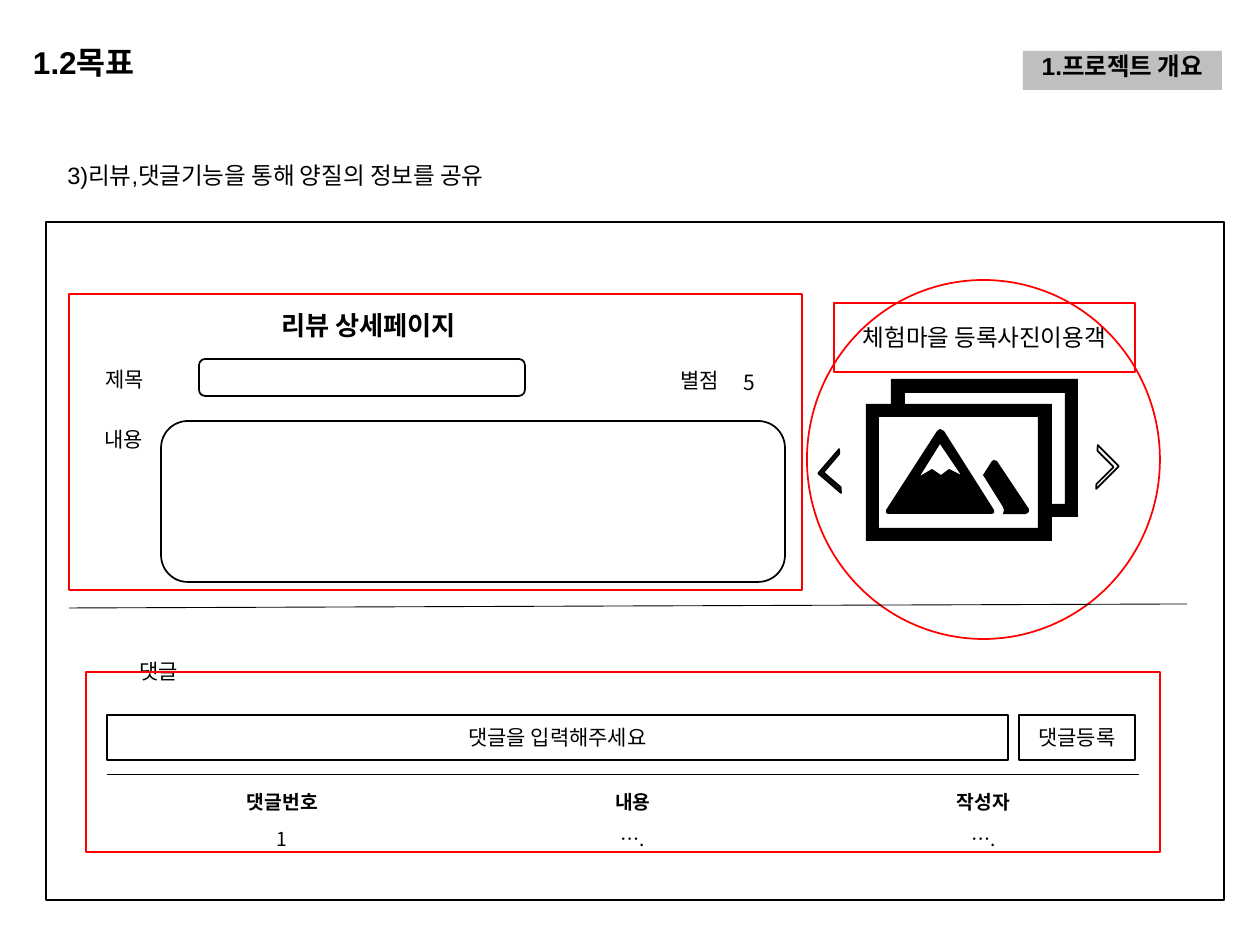
"""Build the review page wireframe slide."""
from lxml.etree import SubElement
from pptx import Presentation
from pptx.dml.color import RGBColor
from pptx.enum.shapes import MSO_CONNECTOR, MSO_SHAPE
from pptx.enum.text import MSO_ANCHOR, PP_ALIGN
from pptx.oxml.ns import qn
from pptx.util import Emu, Pt

SCALE = 914400 / 126
COLORS = {"black": "000000", "chevron": "0D0D0D", "white": "FFFFFF",
          "red": "FF0000", "gray": "BFBFBF"}
KOREAN = "Noto Sans CJK KR"
HILL = [[(1029, 509), (997, 461), (994, 460), (992, 461), (983, 475), (1003, 507),
         (1004, 510), (1003, 514), (1026, 514), (1029, 512)]]
MOUNTAIN = [[(994, 510), (944, 431), (940, 429), (937, 431), (886, 510), (886, 513),
             (888, 514), (992, 514), (994, 513)],
            [(949, 469), (941, 475), (932, 469), (920, 476), (940, 444), (961, 475)]]
FRAMES = [[(1078, 379), (891, 379), (891, 404), (866, 404), (866, 541), (1052, 541),
           (1052, 517), (1078, 517)],
          [(1038, 528), (879, 528), (879, 417), (1038, 417)],
          [(1065, 504), (1052, 504), (1052, 404), (905, 404), (905, 393), (1065, 393)]]


def px(value):
    return Emu(round(value * SCALE))


def color(name):
    return RGBColor.from_string(COLORS[name])


def paint(shape, fill=None, line=None):
    shape.shadow.inherit = False
    if fill:
        shape.fill.solid()
        shape.fill.fore_color.rgb = color(fill)
    else:
        shape.fill.background()
    if line:
        shape.line.color.rgb = color(line)
        shape.line.width = Pt(1)
    else:
        shape.line.fill.background()


def write(text_frame, text, size=12, bold=False, font=KOREAN, align=PP_ALIGN.CENTER,
          anchor=MSO_ANCHOR.MIDDLE, insets=None):
    text_frame.text = text
    text_frame.word_wrap = True
    text_frame.vertical_anchor = anchor
    if insets:
        horizontal, vertical = map(px, insets)
        text_frame.margin_left = text_frame.margin_right = horizontal
        text_frame.margin_top = text_frame.margin_bottom = vertical
    paragraph = text_frame.paragraphs[0]
    paragraph.alignment = align
    run = paragraph.runs[0]
    run.font.size, run.font.bold, run.font.name = Pt(size), bold, font
    run.font.color.rgb = color("black")
    SubElement(run.font._element, qn("a:ea")).set("typeface", KOREAN)
    return paragraph


def add_box(shapes, box, fill=None, line="black", kind=MSO_SHAPE.RECTANGLE):
    shape = shapes.add_shape(kind, *map(px, box))
    paint(shape, fill, line)
    return shape


def add_label(shapes, box, text, **style):
    return write(shapes.add_textbox(*map(px, box)).text_frame, text, **style)


def add_rule(shapes, *ends):
    rule = shapes.add_connector(MSO_CONNECTOR.STRAIGHT, *map(px, ends))
    rule.line.color.rgb = color("black")
    rule.line.width = Pt(0.5)
    SubElement(rule._element.spPr, qn("a:effectLst"))


def add_chevron(shapes, box, rotation, fill):
    chevron = add_box(shapes, box, fill, kind=MSO_SHAPE.HALF_FRAME)
    chevron.rotation = rotation
    chevron.adjustments[0], chevron.adjustments[1] = 0.11, 0.14


def add_outline(shapes, contours):
    builder = shapes.build_freeform(*contours[0][0], scale=SCALE)
    builder.add_line_segments(contours[0][1:])
    for contour in contours[1:]:
        builder.move_to(*contour[0])
        builder.add_line_segments(contour[1:])
    paint(builder.convert_to_shape(), "black")


def add_comment_table(shapes, box, rows):
    table = shapes.add_table(len(rows), len(rows[0]), *map(px, box)).table
    table.first_row = table.horz_banding = False
    for row_index, row in enumerate(rows):
        for column_index, text in enumerate(row):
            cell = table.cell(row_index, column_index)
            cell.fill.background()
            cell.margin_left = cell.margin_right = px(9)
            cell.margin_top = cell.margin_bottom = px(5)
            write(cell.text_frame, text, size=11, bold=row_index == 0,
                  anchor=MSO_ANCHOR.TOP)


def add_review_form(shapes):
    add_label(shapes, (107, 294, 523, 62), "리뷰 상세페이지", size=15, bold=True)
    add_label(shapes, (83, 354, 83, 50), "제목")
    add_label(shapes, (82, 414, 83, 50), "내용")
    add_label(shapes, (653, 355, 93, 50), "별점")
    for box in ((199, 359, 326, 37), (161, 421, 624, 161)):
        add_box(shapes, box, "white", kind=MSO_SHAPE.ROUNDED_RECTANGLE)
    add_label(shapes, (727, 368, 45, 28), "5")


def add_comments(shapes):
    add_label(shapes, (107, 643, 103, 57), "댓글")
    for left, width, text in ((107, 901, "댓글을 입력해주세요"), (1019, 116, "댓글등록")):
        field = add_box(shapes, (left, 715, width, 45), "white")
        write(field.text_frame, text)
    add_rule(shapes, 69, 608, 1187, 604)
    add_rule(shapes, 107, 774, 1139, 774)
    add_comment_table(shapes, (107, 782, 1052, 74),
                      [("댓글번호", "내용", "작성자"), ("1", "….", "….")])


def add_header(shapes):
    title = add_label(shapes, (33, 15, 311, 86), "1.2목표", size=18, bold=True,
                      font="Arial", align=PP_ALIGN.JUSTIFY, insets=(0, 0))
    title.line_spacing = 1.2
    badge = add_box(shapes, (1023, 51, 199, 39), "gray", None)
    section = write(badge.text_frame, "1.프로젝트 개요", size=14, bold=True, font="Arial",
                    anchor=MSO_ANCHOR.TOP, insets=(0, 6))
    section.line_spacing = 0.8
    section.space_before = Pt(7.5)


def main():
    presentation = Presentation()
    presentation.slide_width, presentation.slide_height = px(1260), px(945)
    slide = presentation.slides.add_slide(presentation.slide_layouts[6])
    shapes = slide.shapes

    add_box(shapes, (69, 294, 733, 296), line="red")
    photo = shapes.add_group_shape().shapes
    caption = add_box(photo, (834, 303, 301, 69), line="red")
    write(caption.text_frame, "체험마을 등록사진이용객", size=13.5)
    add_box(photo, (807, 280, 353, 359), line="red", kind=MSO_SHAPE.OVAL)
    add_label(shapes, (55, 155, 630, 42), "3)리뷰,댓글기능을 통해 양질의 정보를 공유", size=13.5,
              font="Arial", align=PP_ALIGN.LEFT, anchor=MSO_ANCHOR.TOP)
    add_review_form(shapes)
    add_comments(shapes)
    add_chevron(shapes, (824, 456, 32, 30), 310.7, "chevron")
    add_chevron(shapes, (1081, 452, 32, 30), 135.1, "white")
    icon = shapes.add_group_shape().shapes
    for contours in (HILL, MOUNTAIN, FRAMES):
        add_outline(icon, contours)
    add_box(shapes, (46, 222, 1178, 678))
    add_box(shapes, (86, 672, 1074, 180), line="red")
    add_header(shapes.add_group_shape().shapes)
    presentation.save("out.pptx")


if __name__ == "__main__":
    main()
